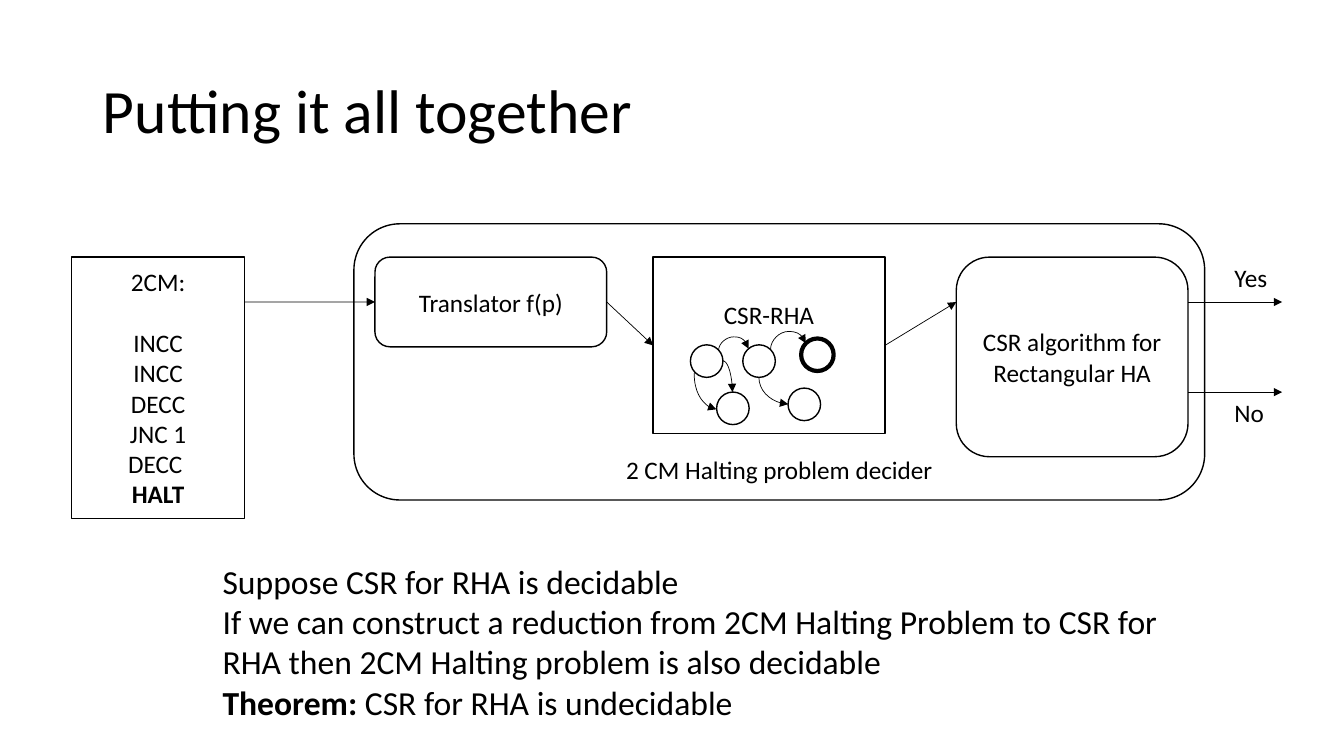
from pptx import Presentation
from pptx.dml.color import RGBColor
from pptx.enum.shapes import MSO_CONNECTOR as Conn, MSO_SHAPE as Shape
from pptx.enum.text import MSO_ANCHOR as Anchor, MSO_AUTO_SIZE as AutoSize, PP_ALIGN as Align
from pptx.oxml.ns import qn
from pptx.util import Cm, Pt
from lxml.etree import SubElement

FONT = "Calibri"
BLACK, WHITE = "000000", "FFFFFF"
TOP = 6.48          # common top of the boxes
FLOW_Y = 7.61       # height of the main flow
BOX_W = 5.84
LEFT, RIGHT = 1, 3  # connection sites


def color(hex_text):
    return RGBColor.from_string(hex_text)


def add_run(p, text, size, bold=False):
    r = p.add_run()
    r.text = text
    r.font.name, r.font.size, r.font.bold = FONT, Pt(size), bold
    r.font.color.rgb = color(BLACK)


def write(tf, paragraphs, size, align=Align.LEFT):
    """Each paragraph is a list of (text, bold) runs."""
    for i, runs in enumerate(paragraphs):
        p = tf.paragraphs[0] if i == 0 else tf.add_paragraph()
        p.alignment = align
        for text, bold in runs:
            add_run(p, text, size, bold)


def add_box(s, kind, box, lines=(), weight=1, fill=WHITE, anchor=Anchor.MIDDLE):
    sp = s.shapes.add_shape(kind, *map(Cm, box))
    sp.shadow.inherit = False
    if fill:
        sp.fill.solid()
        sp.fill.fore_color.rgb = color(fill)
    else:
        sp.fill.background()
    sp.line.color.rgb = color(BLACK)
    sp.line.width = Pt(weight)
    tf = sp.text_frame
    tf.word_wrap, tf.vertical_anchor = True, anchor
    write(tf, [[(line, line == "HALT")] for line in lines], 18, Align.CENTER)
    return sp


def add_text(s, box, paragraphs, size, wrap=True):
    tf = s.shapes.add_textbox(*map(Cm, box)).text_frame
    tf.word_wrap = wrap
    tf.auto_size = AutoSize.SHAPE_TO_FIT_TEXT
    write(tf, paragraphs, size)


def add_arrow(s, x1, y1, x2, y2, kind=Conn.STRAIGHT):
    cx = s.shapes.add_connector(kind, Cm(x1), Cm(y1), Cm(x2), Cm(y2))
    cx.line.color.rgb = color(BLACK)
    cx.line.width = Pt(0.5)
    SubElement(cx.line._get_or_add_ln(), qn("a:tailEnd"), type="triangle")
    SubElement(cx._element.spPr, qn("a:effectLst"))
    return cx


def add_curve(s, box, rot=0, flips=(), adj=None):
    """Curved arrow; adj selects the S-shaped kind with that bend."""
    x, y, w, h = box
    spPr = add_arrow(s, x, y, x + w, y + h, Conn.CURVE)._element.spPr
    xfrm, geom = spPr.find(qn("a:xfrm")), spPr.find(qn("a:prstGeom"))
    xfrm.set("rot", str(rot * 60000))
    for flip in flips:
        xfrm.set(flip, "1")
    if adj is None:
        geom.set("prst", "curvedConnector2")
    else:
        SubElement(geom.find(qn("a:avLst")), qn("a:gd"),
                   name="adj1", fmla=f"val {round(adj * 100000)}")


def add_title(s, box, text):
    title = s.shapes.title
    title.left, title.top, title.width, title.height = map(Cm, box)
    tf = title.text_frame
    tf.vertical_anchor, tf.auto_size = Anchor.MIDDLE, AutoSize.NONE
    write(tf, [[(text, False)]], 44)
    tf.paragraphs[0].line_spacing = 0.9


def add_automaton(s, left, top):
    """States and transitions inside the CSR-RHA box."""
    size = 0.82
    states = [(2.26, 2.21, 1), (0.94, 2.21, 1), (1.6, 3.4, 1), (3.4, 3.3, 1), (3.73, 2.05, 3)]
    for x, y, weight in states:
        add_box(s, Shape.OVAL, (left + x, top + y, size, size), weight=weight)

    both = ("flipH", "flipV")
    transitions = [
        ((1.75, 2.61, 0.25, 0.79), 0, (), None),
        ((0.86, 3.1, 0.91, 0.56), 270, ("flipH",), None),
        ((2.01, 1.95, 0.04, 0.76), 90, both, 8.5),
        ((3.33, 1.8, 0.15, 0.89), 90, both, 2.97),
        ((2.69, 2.99, 0.69, 0.74), 270, ("flipH",), None),
    ]
    for (x, y, w, h), rot, flips, adj in transitions:
        add_curve(s, (left + x, top + y, w, h), rot, flips, adj)


def add_decider(s, left, top, width, height):
    # Outer frame, labelled at the bottom
    frame = add_box(s, Shape.ROUNDED_RECTANGLE, (left, top, width, height),
                    ["2 CM Halting problem decider"], fill=None, anchor=Anchor.BOTTOM)
    frame.text_frame.margin_bottom = Cm(0.05)

    # Stages
    algo_x, rha_x = left + 15.18, left + 7.54
    add_box(s, Shape.ROUNDED_RECTANGLE, (algo_x, TOP, BOX_W, 5.03),
            ["CSR algorithm for Rectangular HA"])
    translator = add_box(s, Shape.ROUNDED_RECTANGLE, (left + 0.53, TOP, BOX_W, 2.26),
                         ["Translator f(p)"])
    rha = add_box(s, Shape.RECTANGLE, (rha_x, TOP, BOX_W, 4.45), ["CSR-RHA"], anchor=Anchor.TOP)
    rha.text_frame.margin_top = Cm(1.06)

    # Flow between the stages
    to_rha = add_arrow(s, left + 6.37, FLOW_Y, rha_x, 8.7)
    to_rha.begin_connect(translator, RIGHT)
    to_rha.end_connect(rha, LEFT)
    add_arrow(s, rha_x + BOX_W, 8.7, algo_x, FLOW_Y).begin_connect(rha, RIGHT)

    # Answers
    out_x = algo_x + BOX_W
    for answer, y, label_y in [("Yes", FLOW_Y, TOP), ("No", 9.88, 9.88)]:
        add_arrow(s, out_x, y, out_x + 2.37, y)
        add_text(s, (out_x + 0.92, label_y, 1.35, 1.02), [[(answer, False)]], 18, wrap=False)

    add_automaton(s, rha_x, TOP)
    return translator


def add_machine(s, left, top, width, height, target):
    """Two-counter machine program feeding the translator."""
    program = ["2CM:", "INCC", "INCC", "DECC", "JNC 1", "DECC ", "HALT"]
    machine = add_box(s, Shape.RECTANGLE, (left, top, width, height), program)
    machine.text_frame.paragraphs[1].space_before = Pt(22)
    add_arrow(s, left + width, FLOW_Y, 9.45, FLOW_Y).end_connect(target, LEFT)


def main():
    prs = Presentation()
    prs.slide_width, prs.slide_height = Cm(33.87), Cm(19.05)
    s = prs.slides.add_slide(prs.slide_layouts[5])

    add_title(s, (2.34, 1.02, 29.21, 3.68), "Putting it all together")
    translator = add_decider(s, 8.92, 5.64, 21.44, 6.96)
    add_machine(s, 1.8, TOP, 4.37, 6.58, translator)

    # Conclusion
    add_text(s, (5.36, 14, 24.77, 4.37), [
        [("Suppose CSR for RHA is decidable", False)],
        [("If we can construct a reduction from 2CM Halting Problem to CSR for RHA "
          "then 2CM Halting problem is also decidable", False)],
        [("Theorem:", True), (" CSR for RHA is undecidable", False)],
    ], 24)
    prs.save("out.pptx")


if __name__ == "__main__":
    main()
